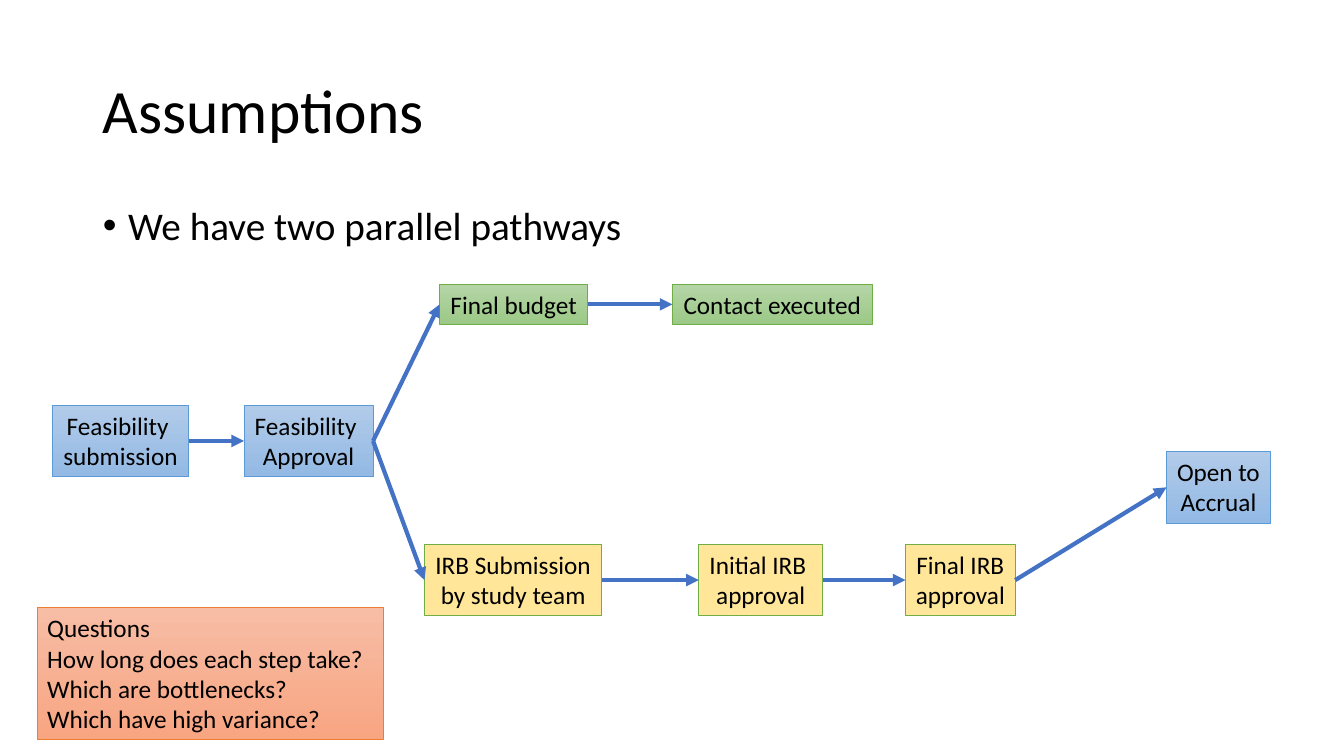
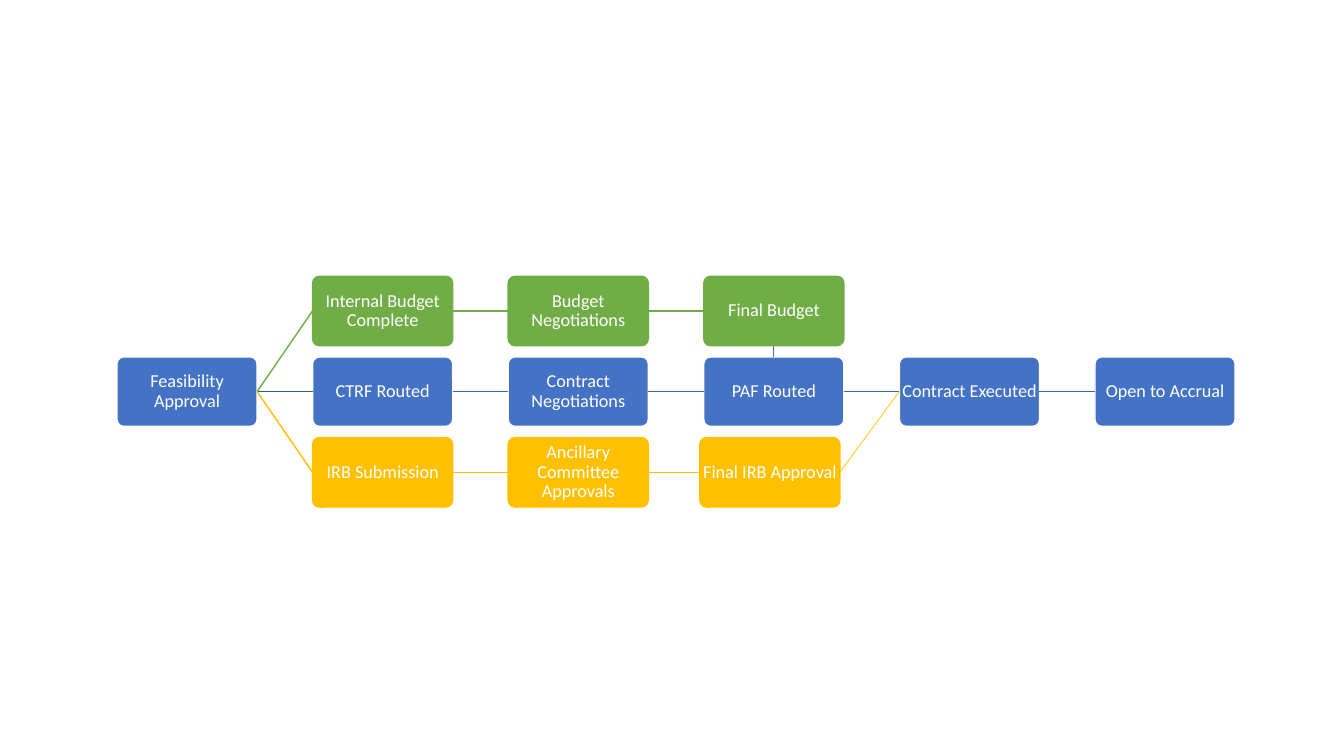
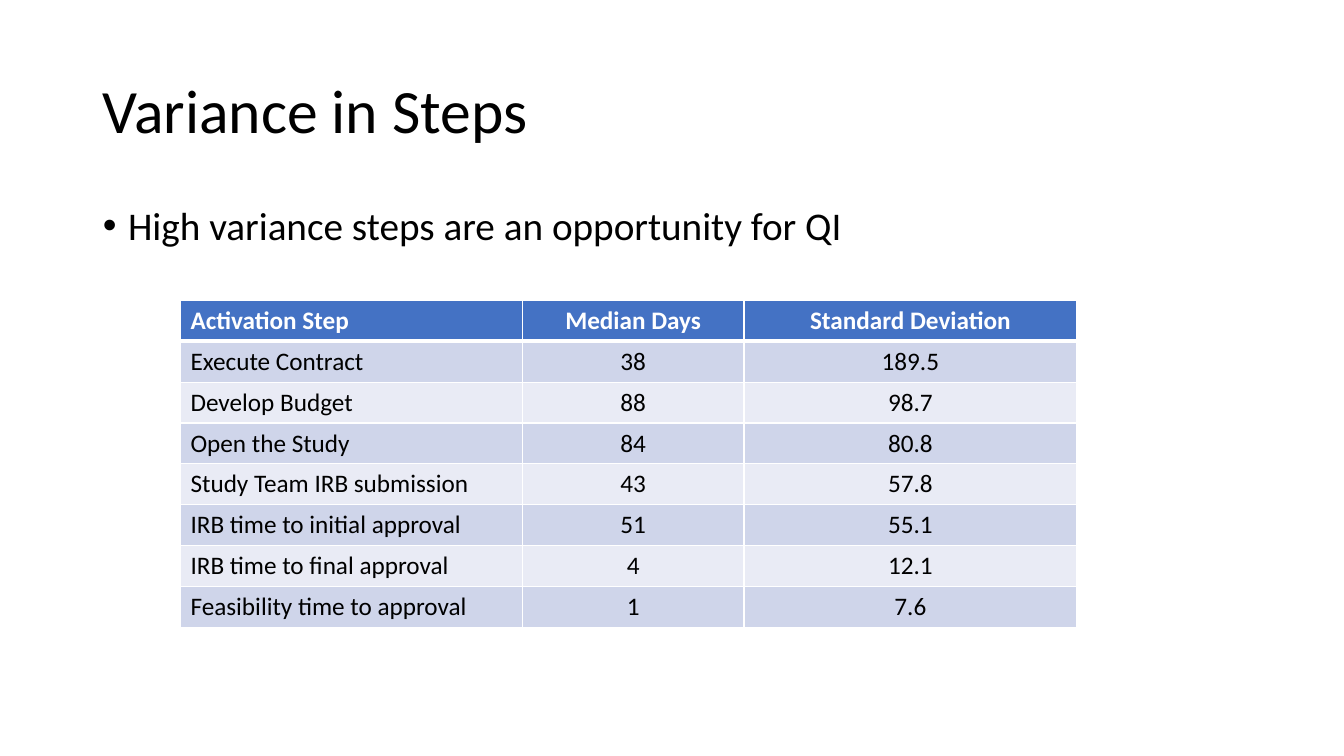
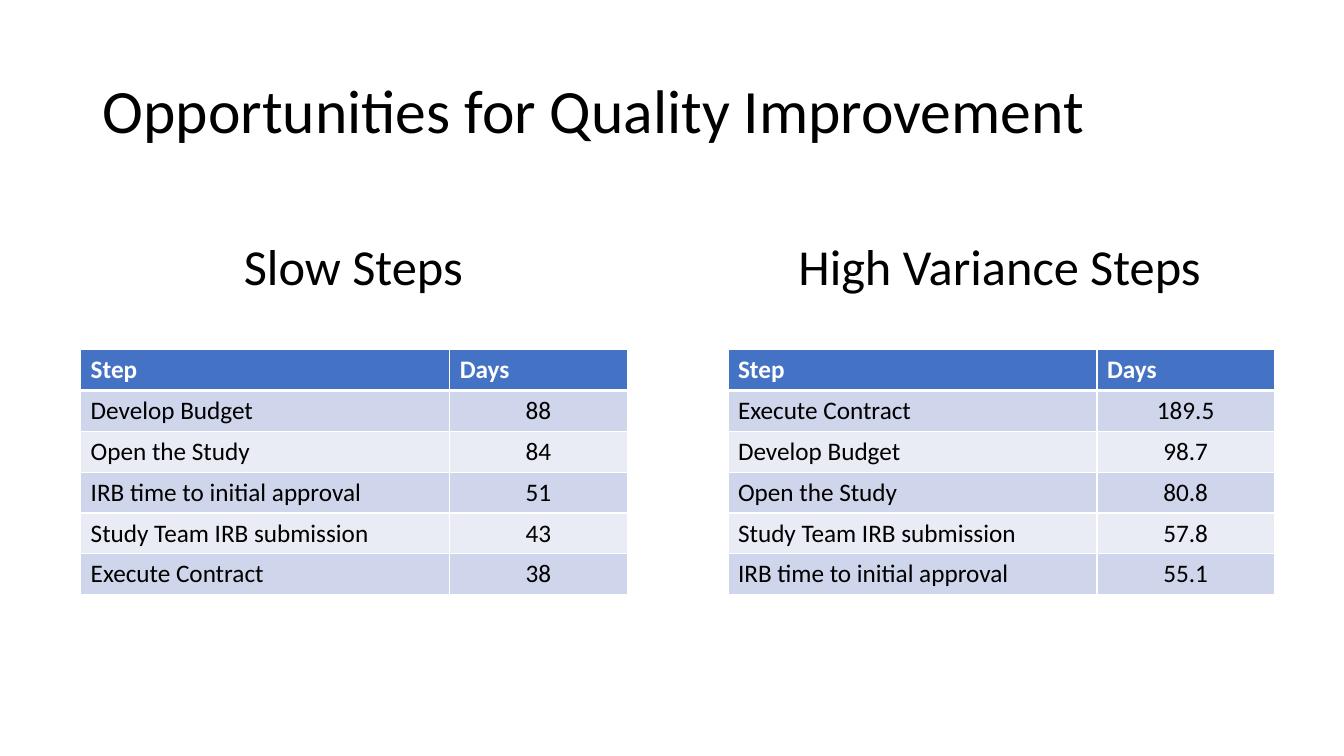
from dataclasses import dataclass
from itertools import pairwise

from lxml import etree
from pptx import Presentation
from pptx.dml.color import RGBColor
from pptx.enum.shapes import MSO_CONNECTOR, MSO_SHAPE
from pptx.enum.text import MSO_ANCHOR, MSO_AUTO_SIZE, PP_ALIGN
from pptx.oxml.ns import qn
from pptx.shapes.autoshape import Shape
from pptx.slide import Slide
from pptx.text.text import TextFrame
from pptx.util import Inches, Pt

LEFT, CENTER = PP_ALIGN.LEFT, PP_ALIGN.CENTER
TOP, MIDDLE = MSO_ANCHOR.TOP, MSO_ANCHOR.MIDDLE
FIT, FIXED = MSO_AUTO_SIZE.SHAPE_TO_FIT_TEXT, MSO_AUTO_SIZE.NONE
RECT, ROUND = MSO_SHAPE.RECTANGLE, MSO_SHAPE.ROUNDED_RECTANGLE
STRAIGHT = MSO_CONNECTOR.STRAIGHT
N, W, S, E = range(4)
LIST, TITLE, BLANK = 1, 5, 6


@dataclass(frozen=True)
class Theme:
    font: str = "Calibri"
    ink: str = "000000"
    white: str = "FFFFFF"
    blue: str = "4472C4"
    navy: str = "365B9D"
    steel: str = "3E67B2"
    sky: str = "5B9BD5"
    green: str = "70AD47"
    gold: str = "FFC000"
    orange: str = "ED7D31"
    pale: str = "FFE699"
    bands: tuple[str, str] = ("CFD5EA", "E9EBF5")
    head: int = 44
    sub: int = 36
    list: int = 28
    body: int = 18
    small: int = 13


THEME = Theme()


@dataclass(frozen=True)
class Look:
    fill: tuple[str, ...]
    line: str
    width: float = 0.5


@dataclass(frozen=True)
class Box:
    left: float
    top: float
    width: float
    height: float
    text: str
    look: Look
    align: PP_ALIGN = CENTER


@dataclass(frozen=True)
class Lane:
    row: int
    first: int
    look: Look
    link: str
    steps: tuple[str, ...]


@dataclass(frozen=True)
class Grid:
    left: float
    top: float
    cols: tuple[float, ...]
    rows: tuple[tuple[str, ...], ...]
    heads: PP_ALIGN


SKY = Look(("B1CBE9", "93B9E4"), THEME.sky)
LEAF = Look(("B5D5A7", "9CC987"), THEME.green)
SAND = Look((THEME.pale,), THEME.green)
PEACH = Look(("F7BDA5", "F8A582"), THEME.orange)

BOXES = {
    "submit": Box(0.52, 4.02, 1.35, 0.71, "Feasibility \nsubmission", SKY),
    "approve": Box(2.42, 4.02, 1.28, 0.71, "Feasibility \nApproval", SKY),
    "budget": Box(4.36, 2.82, 1.47, 0.4, "Final budget", LEAF),
    "contract": Box(6.67, 2.82, 1.98, 0.4, "Contact executed", LEAF),
    "board": Box(4.21, 5.4, 1.76, 0.71, "IRB Submission\nby study team", SAND),
    "initial": Box(6.93, 5.4, 1.23, 0.71, "Initial IRB \napproval", SAND),
    "final": Box(8.98, 5.4, 1.09, 0.71, "Final IRB\napproval", SAND),
    "open": Box(11.57, 4.48, 1.03, 0.71, "Open to\nAccrual", SKY),
}
ROUTES = (
    ("submit", "approve", "budget", "contract"),
    ("approve", "board", "initial", "final", "open"),
)
ASK = Box(0.37, 6.03, 3.43, 1.31,
          "Questions\nHow long does each step take?\n"
          "Which are bottlenecks?\nWhich have high variance?", PEACH, LEFT)

LANES = (
    Lane(0, 1, Look((THEME.green,), THEME.green, 1), THEME.green,
         ("Internal Budget Complete", "Budget Negotiations", "Final Budget")),
    Lane(1, 0, Look((THEME.blue,), THEME.white, 1), THEME.steel,
         ("Feasibility Approval", "CTRF Routed", "Contract Negotiations",
          "PAF Routed", "Contract Executed", "Open to Accrual")),
    Lane(2, 1, Look((THEME.gold,), THEME.gold, 1), THEME.gold,
         ("IRB Submission", "Ancillary Committee Approvals",
          "Final IRB Approval")),
)

STEPS = Grid(1.79, 2.98, (3.39, 2.2, 3.3), (
    ("Activation Step", "Median Days", "Standard Deviation"),
    ("Execute Contract", "38", "189.5"),
    ("Develop Budget", "88", "98.7"),
    ("Open the Study", "84", "80.8"),
    ("Study Team IRB submission", "43", "57.8"),
    ("IRB time to initial approval", "51", "55.1"),
    ("IRB time to final approval", "4", "12.1"),
    ("Feasibility time to approval", "1", "7.6"),
), CENTER)
SLOW = Grid(0.8, 3.47, (3.66, 1.76), (
    ("Step", "Days"),
    ("Develop Budget", "88"),
    ("Open the Study", "84"),
    ("IRB time to initial approval", "51"),
    ("Study Team IRB submission", "43"),
    ("Execute Contract", "38"),
), LEFT)
VARIED = Grid(7.22, 3.47, (3.66, 1.76), (
    ("Step", "Days"),
    ("Execute Contract", "189.5"),
    ("Develop Budget", "98.7"),
    ("Open the Study", "80.8"),
    ("Study Team IRB submission", "57.8"),
    ("IRB time to initial approval", "55.1"),
), LEFT)


def paint(color: str) -> RGBColor:
    return RGBColor.from_string(color)


def write(frame: TextFrame, text: str, *, size: float = THEME.body,
          color: str = THEME.ink, bold: bool = False, align: PP_ALIGN = LEFT,
          space: float = 1, before: float = 0) -> None:
    frame.text = text
    for par in frame.paragraphs:
        par.alignment = align
        par.line_spacing = space
        par.space_before = Pt(before)
        for run in par.runs:
            font = run.font
            font.name, font.size, font.bold = THEME.font, Pt(size), bold
            font.color.rgb = paint(color)


def place(shape: Shape, left: float, top: float,
          width: float, height: float) -> None:
    shape.left, shape.top = Inches(left), Inches(top)
    shape.width, shape.height = Inches(width), Inches(height)


def add_title(slide: Slide, text: str) -> None:
    title = slide.shapes.title
    place(title, 0.92, 0.4, 11.5, 1.45)
    frame = title.text_frame
    frame.auto_size, frame.vertical_anchor = FIXED, MIDDLE
    write(frame, text, size=THEME.head, space=0.9)


def add_list(slide: Slide, text: str, height: float) -> None:
    body = slide.placeholders[1]
    place(body, 0.92, 2, 11.5, height)
    frame = body.text_frame
    frame.auto_size, frame.vertical_anchor = FIXED, TOP
    write(frame, text, size=THEME.list, space=0.9, before=10)
    for par in frame.paragraphs:
        props = par._p.get_or_add_pPr()
        props.set("marL", str(Inches(0.25)))
        props.set("indent", str(Inches(-0.25)))
        mark = etree.SubElement(props, qn("a:buChar"))
        mark.set("char", "•")


def add_shape(slide: Slide, kind: MSO_SHAPE, box: Box) -> Shape:
    shape = slide.shapes.add_shape(
        kind, Inches(box.left), Inches(box.top),
        Inches(box.width), Inches(box.height))
    shape.shadow.inherit = False
    look = box.look
    if len(look.fill) == 1:
        shape.fill.solid()
        shape.fill.fore_color.rgb = paint(look.fill[0])
    else:
        shape.fill.gradient()
        shape.fill.gradient_angle = 270
        for stop, color in zip(shape.fill.gradient_stops, look.fill):
            stop.color.rgb = paint(color)
    shape.line.color.rgb = paint(look.line)
    shape.line.width = Pt(look.width)
    return shape


def add_box(slide: Slide, box: Box) -> Shape:
    shape = add_shape(slide, RECT, box)
    frame = shape.text_frame
    frame.word_wrap, frame.auto_size = False, FIT
    frame.vertical_anchor = TOP
    write(frame, box.text, align=box.align)
    return shape


def add_step(slide: Slide, box: Box) -> Shape:
    shape = add_shape(slide, ROUND, box)
    shape.adjustments[0] = 0.1
    frame = shape.text_frame
    frame.word_wrap, frame.vertical_anchor = True, MIDDLE
    frame.margin_left = frame.margin_right = Inches(0.01)
    frame.margin_top = frame.margin_bottom = Inches(0.01)
    write(frame, box.text, size=THEME.small, color=THEME.white,
          align=box.align, space=0.9)
    return shape


def join(slide: Slide, start: Shape, end: Shape, *, color: str = THEME.blue,
         width: float = 1, sides: tuple[int, int] = (E, W),
         arrow: bool = False) -> None:
    link = slide.shapes.add_connector(STRAIGHT, 0, 0, 0, 0)
    link.begin_connect(start, sides[0])
    link.end_connect(end, sides[1])
    link.line.color.rgb = paint(color)
    link.line.width = Pt(width)
    props = link._element.spPr
    if arrow:
        tip = etree.SubElement(props.find(qn("a:ln")), qn("a:tailEnd"))
        tip.set("type", "triangle")
    etree.SubElement(props, qn("a:effectLst"))


def add_label(slide: Slide, text: str, left: float, width: float) -> None:
    label = slide.shapes.add_textbox(
        Inches(left), Inches(2.28), Inches(width), Inches(0.71))
    label.text_frame.word_wrap = False
    label.text_frame.auto_size = FIT
    write(label.text_frame, text, size=THEME.sub)


def edge(props: etree._Element, row: int) -> None:
    widths = {"L": 1, "R": 1, "T": 3 if row == 1 else 1,
              "B": 3 if row == 0 else 1}
    for spot, (side, width) in enumerate(widths.items()):
        line = etree.Element(qn(f"a:ln{side}"), w=str(Pt(width)))
        fill = etree.SubElement(line, qn("a:solidFill"))
        etree.SubElement(fill, qn("a:srgbClr"), val=THEME.white)
        props.insert(spot, line)


def add_grid(slide: Slide, grid: Grid) -> None:
    table = slide.shapes.add_table(
        len(grid.rows), len(grid.cols), Inches(grid.left), Inches(grid.top),
        Inches(sum(grid.cols)), Inches(0.405 * len(grid.rows))).table
    for col, width in zip(table.columns, grid.cols):
        col.width = Inches(width)
    for row, texts in enumerate(grid.rows):
        head = row == 0
        for col, text in enumerate(texts):
            cell = table.cell(row, col)
            cell.fill.solid()
            cell.fill.fore_color.rgb = paint(
                THEME.blue if head else THEME.bands[(row - 1) % 2])
            edge(cell._tc.get_or_add_tcPr(), row)
            align = LEFT if col == 0 else grid.heads if head else CENTER
            write(cell.text_frame, text, bold=head, align=align,
                  color=THEME.white if head else THEME.ink)


def draw_paths(slide: Slide) -> None:
    add_title(slide, "Assumptions")
    add_list(slide, "We have two parallel pathways", 0.55)
    shapes = {key: add_box(slide, box) for key, box in BOXES.items()}
    for route in ROUTES:
        for start, end in pairwise(route):
            join(slide, shapes[start], shapes[end], width=3, arrow=True)
    add_box(slide, ASK)


def draw_lanes(slide: Slide) -> None:
    lanes = []
    for lane in LANES:
        steps = [
            add_step(slide, Box(1.16 + 1.94 * (lane.first + spot),
                                2.74 + 0.8 * lane.row, 1.39, 0.69,
                                text, lane.look))
            for spot, text in enumerate(lane.steps)]
        lanes.append(steps)
    money, main, board = lanes
    board[-1].left = Inches(6.94)
    for lane, steps in zip(LANES, lanes):
        for start, end in pairwise(steps):
            color = THEME.navy if start is main[0] else lane.link
            join(slide, start, end, color=color)
    join(slide, main[0], money[0], color=THEME.green)
    join(slide, main[0], board[0], color=THEME.gold)
    join(slide, board[-1], main[4], color=THEME.gold, width=0.5)
    join(slide, money[-1], main[3], width=0.5, sides=(S, N))


def draw_steps(slide: Slide) -> None:
    add_title(slide, "Variance in Steps")
    add_list(slide, "High variance steps are an opportunity for QI", 0.73)
    add_grid(slide, STEPS)


def draw_goals(slide: Slide) -> None:
    add_title(slide, "Opportunities for Quality Improvement")
    add_label(slide, "Slow Steps", 2.32, 2.39)
    add_label(slide, "High Variance Steps", 7.82, 4.23)
    add_grid(slide, SLOW)
    add_grid(slide, VARIED)


def main() -> None:
    deck = Presentation()
    deck.slide_width, deck.slide_height = Inches(13.33), Inches(7.5)
    for layout, draw in ((LIST, draw_paths), (BLANK, draw_lanes),
                         (LIST, draw_steps), (TITLE, draw_goals)):
        draw(deck.slides.add_slide(deck.slide_layouts[layout]))
    deck.save("out.pptx")


if __name__ == "__main__":
    main()
